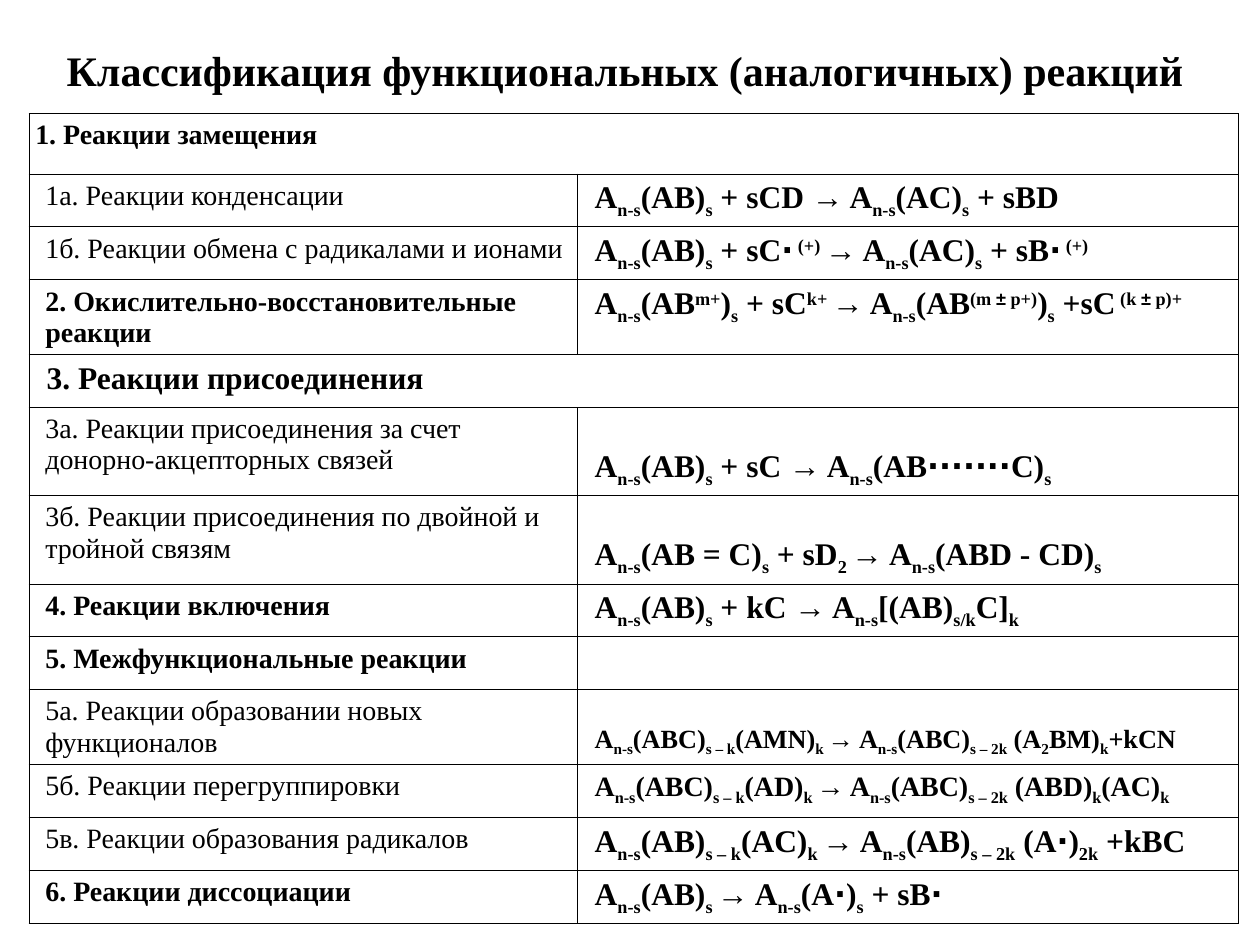
from itertools import groupby

from lxml import etree
from pptx import Presentation
from pptx import util as u
from pptx.dml.color import RGBColor
from pptx.enum import shapes, text
from pptx.oxml import ns

# Content: "_" switches subscript on and off, "^" superscript
TITLE = "Классификация функциональных (аналогичных) реакций"

# Name, formula, and the settings that differ from the defaults
REACTIONS = [
    ("1. Реакции замещения", None, dict(bold=True, indent=0, height=0.48)),
    ("1а. Реакции конденсации",
     "A_n-s_(AB)_s_ + sCD → A_n-s_(AC)_s_ + sBD", {}),
    ("1б. Реакции обмена с радикалами и ионами",
     "A_n-s_(AB)_s_ + sC⋅^ (+) ^→ A_n-s_(AC)_s_ + sB⋅^ (+)^", {}),
    ("2. Окислительно-восстановительные реакции",
     "A_n-s_(AB^m+^)_s_ + sC^k+ ^→ A_n-s_(AB^(m ± p+)^)_s_ +sC^ (k ± p)+^",
     dict(bold=True, height=0.59)),
    ("3. Реакции присоединения", None, dict(bold=True, indent=0.09, name_size=18)),
    ("3а. Реакции присоединения за счет донорно-акцепторных связей",
     "A_n-s_(AB)_s_ + sC → A_n-s_(AB⋅⋅⋅⋅⋅⋅⋅C)_s_", dict(height=0.7, bottom=True)),
    ("3б. Реакции присоединения по двойной и тройной связям",
     "A_n-s_(AB = C)_s_ + sD_2 _→ A_n-s_(ABD - CD)_s_",
     dict(height=0.7, bottom=True)),
    ("4. Реакции включения",
     "A_n-s_(AB)_s_ + kC → A_n-s_[(AB)_s/k_C]_k_", dict(bold=True)),
    ("5. Межфункциональные реакции", "", dict(bold=True)),
    ("5а. Реакции образовании новых функционалов",
     "A_n-s_(ABC)_s – k_(AMN)_k _→ A_n-s_(ABC)_s – 2k_ (A_2_BM)_k_+kCN",
     dict(height=0.59, bottom=True, formula_size=15)),
    ("5б. Реакции перегруппировки",
     "A_n-s_(ABC)_s – k_(AD)_k _→ A_n-s_(ABC)_s – 2k_ (ABD)_k_(AC)_k_",
     dict(formula_size=16)),
    ("5в. Реакции образования радикалов",
     "A_n-s_(AB)_s – k_(AC)_k _→ A_n-s_(AB)_s – 2k_ (A⋅)_2k_ +kBC", {}),
    ("6. Реакции диссоциации",
     "A_n-s_(AB)_s _→ A_n-s_(A⋅)_s_ + sB⋅", dict(bold=True)),
]

THEME = dict(
    ink=RGBColor(0, 0, 0), paper=RGBColor(255, 255, 255),
    font="Times New Roman", symbol_font="Arial", symbols="→⋅±",
    title_size=24, name_size=16, formula_size=18, border=0.45,
)
BASELINES = {"_": "-25000", "^": "30000"}
COLUMNS = (4.35, 5.25)
ROW_HEIGHT = 0.42
NAME_INDENT, FORMULA_INDENT, CELL_MARGIN = 0.08, 0.09, 0.05


def styled_characters(marked_text):
    """Yield each character with its level mark and whether it is a symbol."""
    level = None
    for character in marked_text:
        if character in BASELINES:
            level = None if level else character
        else:
            yield character, (level, character in THEME["symbols"])


def write(paragraph, marked_text, size, bold):
    pieces = groupby(styled_characters(marked_text), key=lambda pair: pair[1])
    for (level, is_symbol), pairs in pieces:
        run = paragraph.add_run()
        run.text = "".join(character for character, _ in pairs)
        run.font.size = u.Pt(size)
        run.font.bold = bold
        run.font.name = THEME["symbol_font" if is_symbol else "font"]
        run.font.color.rgb = THEME["ink"]
        if level:
            run._r.get_or_add_rPr().set("baseline", BASELINES[level])


def draw_borders(cell):
    properties = cell._tc.get_or_add_tcPr()
    for position, side in enumerate(("lnL", "lnR", "lnT", "lnB")):
        line = etree.Element(ns.qn(f"a:{side}"), w=str(u.Pt(THEME["border"])))
        fill = etree.SubElement(line, ns.qn("a:solidFill"))
        etree.SubElement(fill, ns.qn("a:srgbClr"), val=str(THEME["ink"]))
        properties.insert(position, line)


def fill_cell(cell, marked_text, size, bold, indent):
    paragraph = cell.text_frame.paragraphs[0]
    paragraph._p.get_or_add_pPr().set("marL", str(u.Inches(indent)))
    write(paragraph, marked_text, size, bold)


def add_reactions(slide):
    heights = [options.get("height", ROW_HEIGHT) for _, _, options in REACTIONS]
    table = slide.shapes.add_table(
        len(REACTIONS), len(COLUMNS), u.Inches(0.23), u.Inches(0.9),
        u.Inches(sum(COLUMNS)), u.Inches(sum(heights))).table
    table.first_row = table.horz_banding = False
    for column, width in zip(table.columns, COLUMNS):
        column.width = u.Inches(width)

    for row, height in zip(table.rows, heights):
        row.height = u.Inches(height)
        for cell in row.cells:
            cell.fill.background()
            draw_borders(cell)
            cell.margin_left = cell.margin_right = u.Inches(CELL_MARGIN)
            cell.margin_top = cell.margin_bottom = u.Inches(CELL_MARGIN)

    for index, (name, formula, options) in enumerate(REACTIONS):
        name_cell, formula_cell = table.cell(index, 0), table.cell(index, 1)
        fill_cell(name_cell, name, options.get("name_size", THEME["name_size"]),
                  options.get("bold", False), options.get("indent", NAME_INDENT))
        if formula is None:
            name_cell.merge(formula_cell)
            continue
        fill_cell(formula_cell, formula,
                  options.get("formula_size", THEME["formula_size"]),
                  True, FORMULA_INDENT)
        if options.get("bottom"):
            formula_cell.vertical_anchor = text.MSO_ANCHOR.BOTTOM


def add_title(slide):
    shape = slide.shapes.add_shape(
        shapes.MSO_SHAPE.RECTANGLE, u.Inches(0.17), u.Inches(0.3),
        u.Inches(9.58), u.Inches(0.5))
    shape.shadow.inherit = False
    shape.fill.solid()
    shape.fill.fore_color.rgb = THEME["paper"]
    shape.line.fill.background()
    frame = shape.text_frame
    frame.word_wrap = True
    frame.auto_size = text.MSO_AUTO_SIZE.SHAPE_TO_FIT_TEXT
    frame.vertical_anchor = text.MSO_ANCHOR.MIDDLE
    paragraph = frame.paragraphs[0]
    paragraph.alignment = text.PP_ALIGN.CENTER
    write(paragraph, TITLE, THEME["title_size"], True)


def main():
    presentation = Presentation()
    presentation.slide_width, presentation.slide_height = u.Inches(10), u.Inches(7.5)
    slide = presentation.slides.add_slide(presentation.slide_layouts[6])
    add_reactions(slide)
    add_title(slide)
    presentation.save("out.pptx")


if __name__ == "__main__":
    main()
